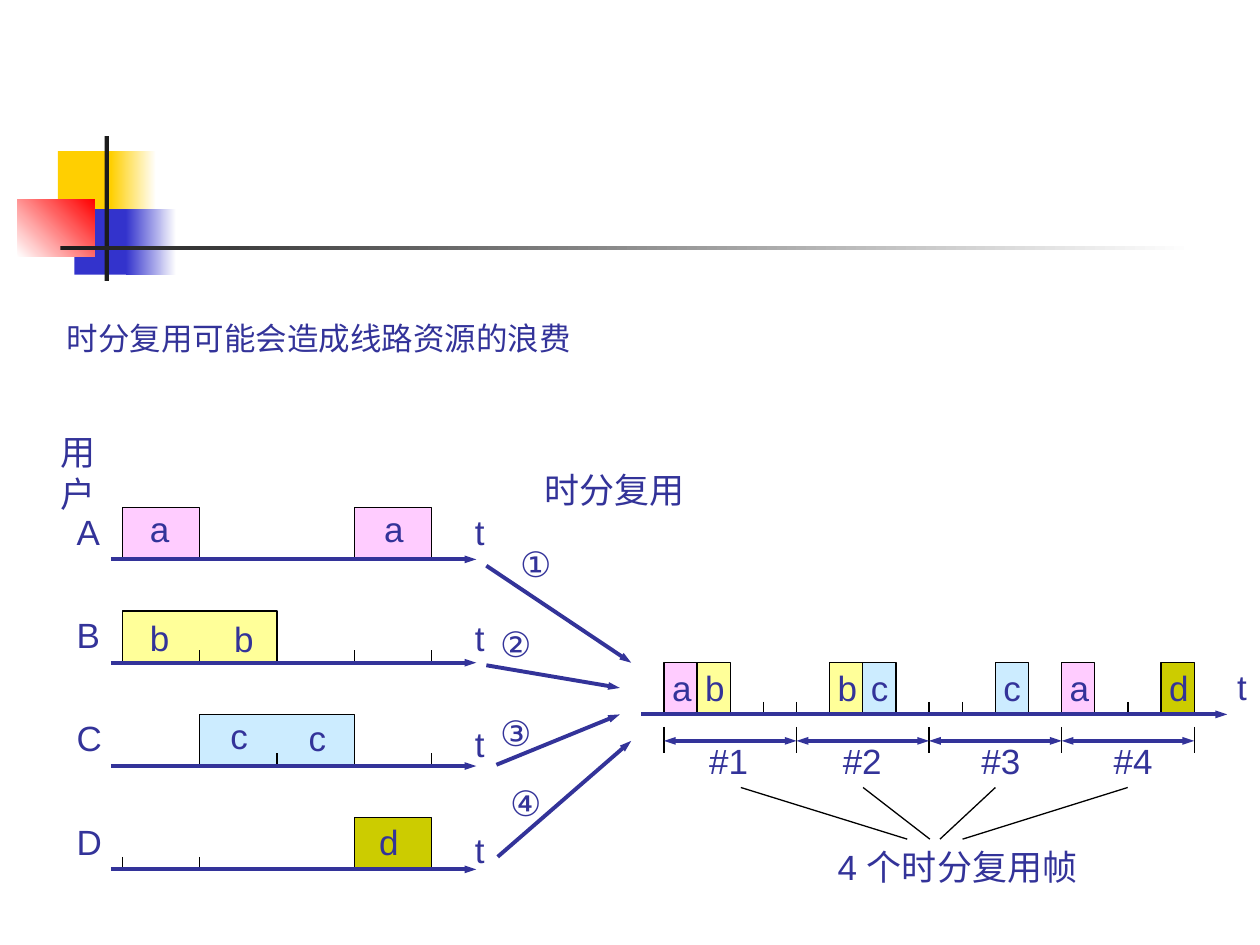
from pptx import Presentation
from pptx import util as u
from pptx.dml.color import RGBColor
from pptx.enum import shapes, text
from pptx.oxml.ns import qn
from lxml import etree

INK = RGBColor(0x33, 0x33, 0x99)
BLACK = RGBColor(0, 0, 0)
WHITE = RGBColor(0xFF, 0xFF, 0xFF)
CHARCOAL = RGBColor(0x1C, 0x1C, 0x1C)
GOLD = RGBColor(0xFF, 0xCF, 0x01)
BLUE = RGBColor(0x33, 0x33, 0xCC)
RED = RGBColor(0xFF, 0, 0)
SIGNAL = {
    "a": RGBColor(0xFF, 0xCC, 0xFF),
    "b": RGBColor(0xFF, 0xFF, 0x99),
    "c": RGBColor(0xCC, 0xEC, 0xFF),
    "d": RGBColor(0xCC, 0xCC, 0x00),
}
BLOCK_HEIGHT = 4.1
TICK = 1
USER_LEFT, USER_SLOT = 9.7, 6.14
LINK_LEFT, LINK_SLOT, LINK_BASE = 52.7, 2.63, 56.7
FRAME_SLOTS = 4


class Board:
    """Draws on one slide in a grid of 100 columns by 75 rows."""

    def __init__(self, deck):
        self.slide = deck.slides.add_slide(deck.slide_layouts[5])
        self.column = deck.slide_width / 100
        self.row = deck.slide_height / 75
        self.font, self.size = "Arial", 20

    def place(self, x, y):
        return u.Emu(round(x * self.column)), u.Emu(round(y * self.row))

    def style(self, frame, size):
        for run in frame.paragraphs[0].runs:
            run.font.name = self.font
            run.font.size = u.Pt(size)
            run.font.color.rgb = INK

    def title(self, wording, left, top, width, height):
        heading = self.slide.shapes.title
        heading.left, heading.top = self.place(left, top)
        heading.width, heading.height = self.place(width, height)
        frame = heading.text_frame
        frame.text = wording
        frame.auto_size = text.MSO_AUTO_SIZE.NONE
        frame.vertical_anchor = text.MSO_ANCHOR.BOTTOM
        frame.margin_bottom = u.Inches(0.1)
        frame.paragraphs[0].alignment = text.PP_ALIGN.LEFT
        self.style(frame, 18)

    def label(self, wording, left, top, width=3.5):
        box = self.slide.shapes.add_textbox(*self.place(left, top), *self.place(width, 4.4))
        frame = box.text_frame
        frame.word_wrap = False
        frame.auto_size = text.MSO_AUTO_SIZE.SHAPE_TO_FIT_TEXT
        frame.text = wording
        self.style(frame, self.size)

    def bar(self, left, top, width, height, start, end=None, angle=0):
        bar = self.slide.shapes.add_shape(
            shapes.MSO_SHAPE.RECTANGLE, *self.place(left, top), *self.place(width, height))
        bar.shadow.inherit = False
        bar.line.fill.background()
        if end is None:
            bar.fill.solid()
            bar.fill.fore_color.rgb = start
            return
        bar.fill.gradient()
        bar.fill.gradient_angle = angle
        for stop, colour, position in zip(bar.fill.gradient_stops, (start, end), (0, 1)):
            stop.color.rgb = colour
            stop.position = position

    def block(self, left, base, width, colour):
        top, right = base - BLOCK_HEIGHT, left + width
        builder = self.slide.shapes.build_freeform(*self.place(left, base))
        corners = [(left, top), (right, top), (right, base)]
        builder.add_line_segments([self.place(*corner) for corner in corners], close=False)
        block = builder.convert_to_shape()
        block.shadow.inherit = False
        block.fill.solid()
        block.fill.fore_color.rgb = colour
        block.line.color.rgb = BLACK
        block.line.width = u.Pt(0.75)

    def line(self, start, end, colour=BLACK, weight=0.75, heads=()):
        line = self.slide.shapes.add_connector(
            shapes.MSO_CONNECTOR.STRAIGHT, *self.place(*start), *self.place(*end))
        line.line.color.rgb = colour
        line.line.width = u.Pt(weight)
        outline = line.line._get_or_add_ln()
        for head in heads:
            etree.SubElement(outline, qn("a:" + head), type="triangle", w="sm", len="med")
        etree.SubElement(line._element.spPr, qn("a:effectLst"))

    def arrow(self, start, end, heads=("tailEnd",)):
        self.line(start, end, INK, 2.25, heads)

    def tick(self, x, base, height=TICK):
        self.line((x, base - height), (x, base))


def draw_ornament(board):
    board.bar(4.6, 12, 4.8, 5.2, GOLD)
    board.bar(8.8, 12, 3.6, 5.2, GOLD, WHITE)
    board.bar(5.9, 16.6, 4.6, 5.2, BLUE)
    board.bar(10, 16.6, 4, 5.2, BLUE, WHITE)
    board.bar(1.4, 15.8, 6.1, 4.6, WHITE, RED, 45)
    board.bar(8.3, 10.8, 0.35, 11.5, CHARCOAL)
    board.bar(4.8, 19.5, 90, 0.35, CHARCOAL, WHITE)


def draw_users(board):
    users = [
        ("A", 3.8, [(0, 1), (3, 1)], [], [("a", 10.9, 39.8), ("a", 29.5, 39.8)]),
        ("B", 3.8, [(0, 2)], [1, 3, 4], [("b", 10.9, 48.4), ("b", 17.6, 48.5)]),
        ("C", 4, [(1, 2)], [2, 4], [("c", 17.3, 56.2), ("c", 23.5, 56.4)]),
        ("D", 4, [(3, 1)], [0, 1, 3], [("d", 29.1, 64.6)]),
    ]
    board.label("用户", 3.8, 33.7, 7.5)
    for index, (user, width, bursts, ticks, letters) in enumerate(users):
        base = 44.4 + 8.2 * index
        for slot, count in bursts:
            board.block(USER_LEFT + slot * USER_SLOT, base, count * USER_SLOT, SIGNAL[user.lower()])
        for slot in ticks:
            board.tick(USER_LEFT + slot * USER_SLOT, base)
        for letter in letters:
            board.label(*letter)
        board.label(user, 5.1, base - 4.4, width)
        board.label("t", 36.7, 40 + 8.43 * index, 2.7)
        board.arrow((8.8, base), (37.8, base))


def draw_multiplexing(board):
    board.label("时分复用", 42.2, 36.7, 13.1)
    inputs = [
        ("①", (40.3, 42.6), (38.6, 44.9), (50.1, 52.6)),
        ("②", (38.7, 48.9), (38.6, 52.8), (49.2, 54.6)),
        ("③", (38.7, 56), (39.4, 60.7), (49.2, 56.7)),
        ("④", (39.5, 61.5), (39.5, 68), (50.1, 58.8)),
    ]
    for number, corner, start, end in inputs:
        board.arrow(start, end)
        board.label(number, *corner, 4.5)


def draw_link(board):
    def slot_x(slot):
        return LINK_LEFT + slot * LINK_SLOT

    for slot, letter in [(0, "a"), (1, "b"), (5, "b"), (6, "c"), (10, "c"), (12, "a"), (15, "d")]:
        board.block(slot_x(slot), LINK_BASE, LINK_SLOT, SIGNAL[letter])
        board.label(letter, slot_x(slot) - 0.35, 52.4)
    for slot in (2, 3, 4, 8, 9, 14):
        board.tick(slot_x(slot), LINK_BASE)
    board.arrow((50.9, LINK_BASE), (97.4, LINK_BASE))
    board.label("t", 97.2, 52.3, 2.7)

    board.tick(LINK_LEFT, 59.8, 2.1)
    frames = [(55.3, 58.8, 72), (65.9, 68.5, 73.8), (76.9, 79, 74.6), (87.4, 89.5, 76.4)]
    for index, (name_left, ray_start, ray_end) in enumerate(frames):
        left, right = slot_x(index * FRAME_SLOTS), slot_x((index + 1) * FRAME_SLOTS)
        board.tick(right, 59.8, 2.1)
        board.arrow((left, 58.8), (right, 58.8), ("headEnd", "tailEnd"))
        board.label(f"#{index + 1}", name_left, 58.2, 5.1)
        board.line((ray_start, 62.5), (ray_end, 66.6))
    board.label("4 个时分复用帧", 65.5, 66.6, 21.7)


def main():
    deck = Presentation()
    deck.slide_width, deck.slide_height = u.Inches(10), u.Inches(7.5)
    board = Board(deck)
    draw_ornament(board)
    board.title("时分复用可能会造成线路资源的浪费", 4.3, 23.3, 85.2, 6)
    draw_users(board)
    draw_multiplexing(board)
    draw_link(board)
    deck.save("out.pptx")


if __name__ == "__main__":
    main()
